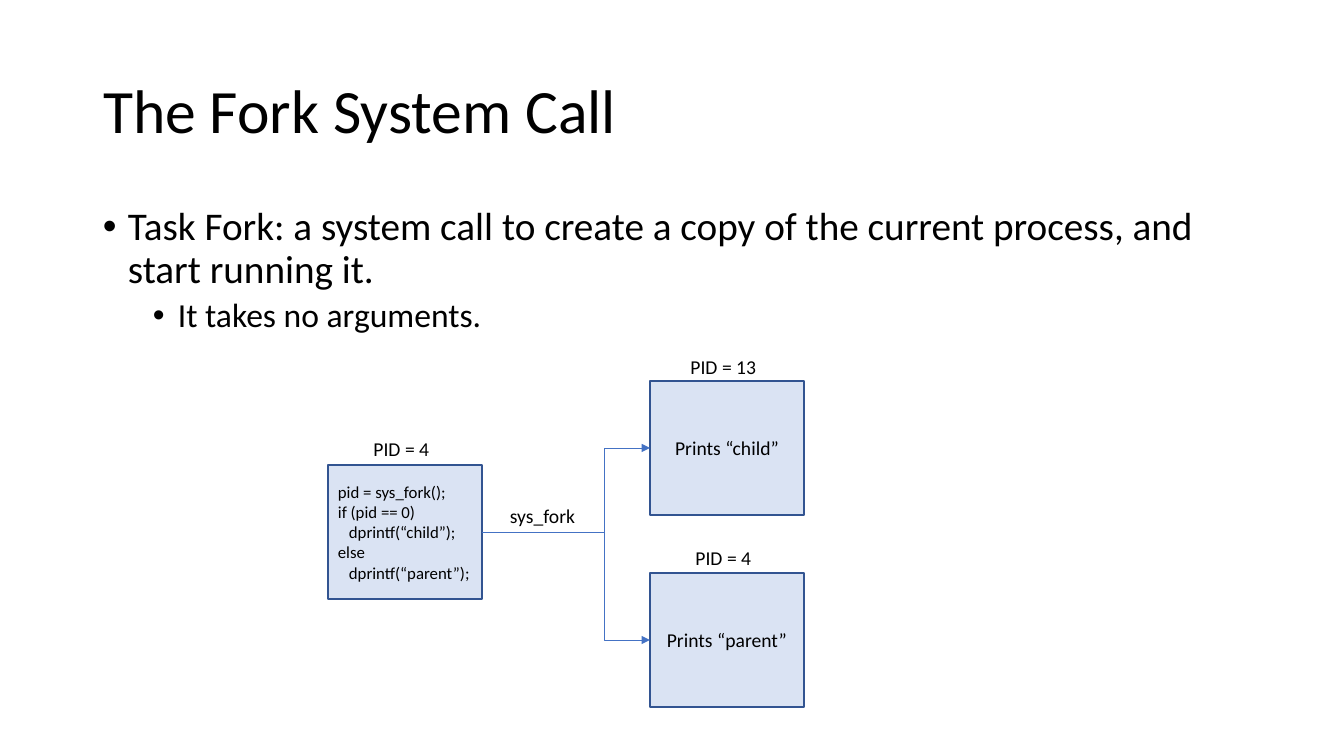
import pptx
import pptx.dml.color
import pptx.enum.shapes
import pptx.enum.text
import pptx.util
from lxml import etree
from pptx.oxml.ns import qn

ALIGN = pptx.enum.text.PP_ALIGN
ANCHOR = pptx.enum.text.MSO_ANCHOR
SHAPE = pptx.enum.shapes.MSO_SHAPE
CONNECTOR = pptx.enum.shapes.MSO_CONNECTOR
NO_FIT = pptx.enum.text.MSO_AUTO_SIZE.NONE

TITLE = "The Fork System Call"
# text, level
BULLETS = [
    ("Task Fork: a system call to create a copy of the current process, and start running it.", 0),
    ("It takes no arguments.", 1),
]
# text, indented
CODE = [
    ("pid = sys_fork();", False),
    ("if (pid == 0)", False),
    ("dprintf(“child”);", True),
    ("else", False),
    ("dprintf(“parent”);", True),
]
# name: left, top, lines, size key, alignment, label, label top, label width
PROCESSES = {
    "caller": (328, 465, CODE, "code", ALIGN.LEFT, "PID = 4", 432, 83),
    "child": (650, 381, [("Prints “child”", False)], "label", ALIGN.CENTER, "PID = 13", 350, 93),
    "parent": (650, 573, [("Prints “parent”", False)], "label", ALIGN.CENTER, "PID = 4", 541, 83),
}
# text, center, top, width
CALL_LABEL = ("sys_fork", 548, 499, 96)

SLIDE_SIZE = (1344, 756)
TITLE_BOX = (93, 41, 1159, 146)
BODY_BOX = (93, 202, 1159, 480)
BOX_WIDTH, BOX_HEIGHT = 154, 134
LABEL_HEIGHT = 34
CODE_INDENT = 11
HANGING = 25
LEVEL_STEP = 50
BEND = 72800  # share of the connector's width, in 1/100000
LEFT_SITE, RIGHT_SITE = 1, 3

THEME = {
    "font": "Calibri",
    "text": "000000",
    "fill": "DAE3F3",
    "outline": "325491",
    "arrow": "4472C4",
    "sizes": {"title": 44, "bullets": (28, 24), "label": 14, "code": 12},
    "bullet_spacing": (10, 5),
}


def px(length):
    return pptx.util.Emu(round(length * 914400 / 100.8))


def rgb(name):
    return pptx.dml.color.RGBColor.from_string(THEME[name])


def apply(target, formats):
    for name, value in formats.items():
        setattr(target, name, value)


def write(paragraph, text, size, **formats):
    run = paragraph.add_run()
    run.text = text
    apply(run.font, {"name": THEME["font"], "size": pptx.util.Pt(size)})
    run.font.color.rgb = rgb("text")
    apply(paragraph, formats)


def paragraphs(frame, count):
    """Return the frame's paragraphs after growing it to count."""
    while len(frame.paragraphs) < count:
        frame.add_paragraph()
    return frame.paragraphs


def indent(paragraph, left, first=0):
    properties = paragraph._p.get_or_add_pPr()
    properties.set("marL", str(px(left)))
    properties.set("indent", str(px(first)))
    return properties


def add_title(slide):
    title = slide.shapes.title
    apply(title, dict(zip(("left", "top", "width", "height"), map(px, TITLE_BOX))))
    apply(title.text_frame, {"vertical_anchor": ANCHOR.MIDDLE, "auto_size": NO_FIT, "word_wrap": True})
    write(title.text_frame.paragraphs[0], TITLE, THEME["sizes"]["title"],
          alignment=ALIGN.LEFT, line_spacing=0.9)


def add_bullets(slide):
    frame = slide.shapes.add_textbox(*map(px, BODY_BOX)).text_frame
    frame.word_wrap = True
    for paragraph, (text, level) in zip(paragraphs(frame, len(BULLETS)), BULLETS):
        write(paragraph, text, THEME["sizes"]["bullets"][level], level=level, line_spacing=0.9,
              space_before=pptx.util.Pt(THEME["bullet_spacing"][level]))
        properties = indent(paragraph, HANGING + level * LEVEL_STEP, -HANGING)
        etree.SubElement(properties, qn("a:buFont"), typeface="Arial")
        etree.SubElement(properties, qn("a:buChar"), char="•")


def add_label(slide, text, center, top, width):
    frame = slide.shapes.add_textbox(
        *map(px, (center - width / 2, top, width, LABEL_HEIGHT))).text_frame
    frame.word_wrap = True
    write(frame.paragraphs[0], text, THEME["sizes"]["label"], alignment=ALIGN.LEFT)


def add_process(slide, left, top, lines, size, alignment, label, label_top, label_width):
    box = slide.shapes.add_shape(SHAPE.RECTANGLE, *map(px, (left, top, BOX_WIDTH, BOX_HEIGHT)))
    box.shadow.inherit = False
    box.fill.solid()
    box.fill.fore_color.rgb = rgb("fill")
    box.line.color.rgb = rgb("outline")
    box.line.width = pptx.util.Pt(1)
    apply(box.text_frame, {"vertical_anchor": ANCHOR.MIDDLE, "word_wrap": True})
    for paragraph, (text, indented) in zip(paragraphs(box.text_frame, len(lines)), lines):
        write(paragraph, text, THEME["sizes"][size], alignment=alignment)
        if indented:
            indent(paragraph, CODE_INDENT)
    add_label(slide, label, left + BOX_WIDTH / 2, label_top, label_width)
    return box


def add_arrow(slide, source, target):
    arrow = slide.shapes.add_connector(CONNECTOR.ELBOW, 0, 0, 0, 0)
    arrow.begin_connect(source, RIGHT_SITE)
    arrow.end_connect(target, LEFT_SITE)
    arrow.line.color.rgb = rgb("arrow")
    arrow.line.width = pptx.util.Pt(0.5)
    properties = arrow._element.spPr
    etree.SubElement(properties.find(qn("a:ln")), qn("a:tailEnd"), type="triangle")
    etree.SubElement(properties, qn("a:effectLst"))
    geometry = properties.find(qn("a:prstGeom"))
    adjustments = geometry.find(qn("a:avLst"))
    if adjustments is None:
        adjustments = etree.SubElement(geometry, qn("a:avLst"))
    etree.SubElement(adjustments, qn("a:gd"), name="adj1", fmla=f"val {BEND}")


def main():
    presentation = pptx.Presentation()
    apply(presentation, dict(zip(("slide_width", "slide_height"), map(px, SLIDE_SIZE))))
    slide = presentation.slides.add_slide(presentation.slide_layouts.get_by_name("Title Only"))
    add_title(slide)
    add_bullets(slide)
    boxes = {name: add_process(slide, *process) for name, process in PROCESSES.items()}
    for result in ("child", "parent"):
        add_arrow(slide, boxes["caller"], boxes[result])
    add_label(slide, *CALL_LABEL)
    presentation.save("out.pptx")


if __name__ == "__main__":
    main()
